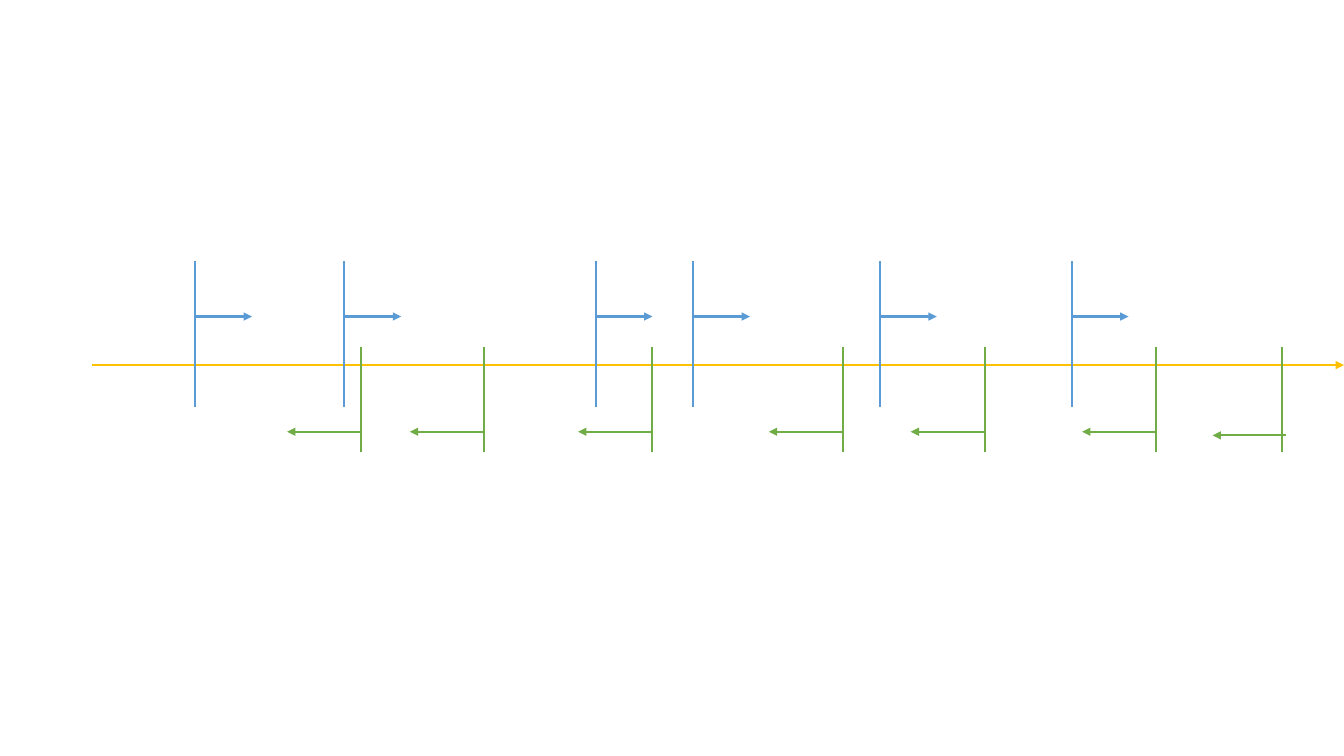
from dataclasses import dataclass

from lxml.etree import SubElement
from pptx import Presentation
from pptx.dml.color import RGBColor
from pptx.enum.shapes import MSO_CONNECTOR
from pptx.oxml.ns import qn
from pptx.slide import Slide
from pptx.util import Pt

AXIS_COLOR, START_COLOR, END_COLOR = "FFC000", "5B9BD5", "70AD47"


@dataclass
class Marker:
    """A vertical bar with an arrow; a negative reach points left."""
    x: float
    top: float
    bottom: float
    arrow_y: float
    reach: float
    color: str
    arrow_shift: float = 0


def add_line(slide: Slide, x1: float, y1: float, x2: float, y2: float,
             color: str, arrow: bool = False) -> None:
    ends = (Pt(v) for v in (x1, y1, x2, y2))
    line = slide.shapes.add_connector(MSO_CONNECTOR.STRAIGHT, *ends)
    line.line.color.rgb = RGBColor.from_string(color)
    line.line.width = Pt(1.5)
    if arrow:
        SubElement(line.line._get_or_add_ln(), qn("a:tailEnd"), type="triangle")
    SubElement(line._element.spPr, qn("a:effectLst"))


def add_marker(slide: Slide, m: Marker) -> None:
    start = m.x + m.arrow_shift
    add_line(slide, start, m.arrow_y, start + m.reach, m.arrow_y, m.color, arrow=True)
    add_line(slide, m.x, m.top, m.x, m.bottom, m.color)


def main() -> None:
    prs = Presentation()
    prs.slide_width, prs.slide_height = Pt(960), Pt(540)
    slide = prs.slides.add_slide(prs.slide_layouts[6])

    starts = [Marker(x, 186.5, 290.9, 226.1, 40.5, START_COLOR)
              for x in (139.5, 246, 425.5, 495.2, 628.6, 765.6)]
    ends = [Marker(x, 248.2, 323.1, 308.4, -52.8, END_COLOR)
            for x in (257.9, 345.6, 465.8, 602, 703.3, 825.7)]
    last_end = Marker(915.8, 247.7, 322.6, 311, -52.6, END_COLOR, arrow_shift=2.9)

    add_line(slide, 66, 260.8, 960, 260.8, AXIS_COLOR, arrow=True)
    for marker in (*starts, *ends, last_end):
        add_marker(slide, marker)

    prs.save("out.pptx")


if __name__ == "__main__":
    main()
